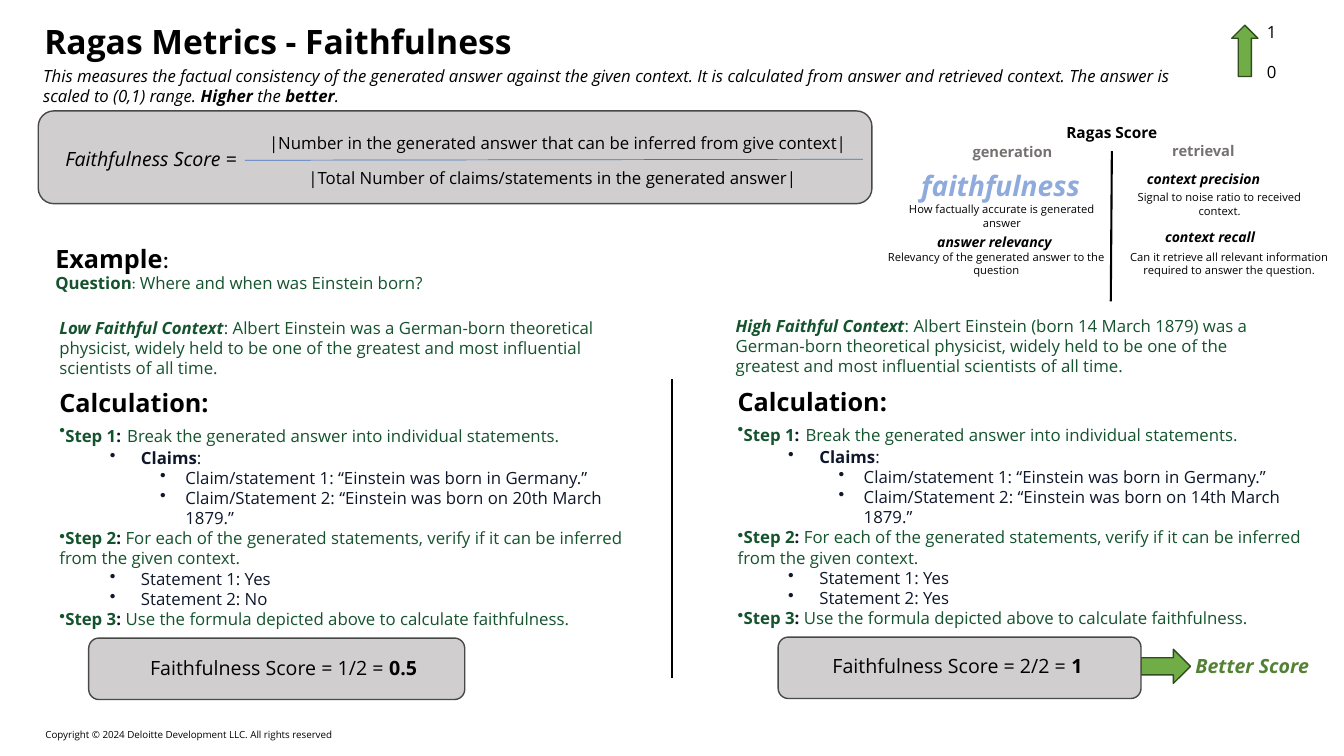
from dataclasses import dataclass
from typing import NamedTuple, Optional

from lxml import etree
from pptx import Presentation
from pptx.dml.color import RGBColor
from pptx.enum.shapes import MSO_CONNECTOR, MSO_SHAPE
from pptx.enum.text import MSO_AUTO_SIZE, PP_ALIGN
from pptx.oxml.ns import qn
from pptx.util import Inches, Pt

STRAIGHT = MSO_CONNECTOR.STRAIGHT
ROUND = MSO_SHAPE.ROUNDED_RECTANGLE
RIGHT = MSO_SHAPE.RIGHT_ARROW
UP = MSO_SHAPE.UP_ARROW
LEFT, MID = PP_ALIGN.LEFT, PP_ALIGN.CENTER
GROW, FIXED = MSO_AUTO_SIZE.SHAPE_TO_FIT_TEXT, MSO_AUTO_SIZE.NONE

WIDE, HIGH = Inches(13.33), Inches(7.5)
HUES = {
    "black": "000000", "ink": "0F172A", "pine": "14532D", "gray": "767171",
    "sky": "8FAADC", "blue": "4472C4", "panel": "D0CECE", "edge": "484848",
    "leaf": "70AD47", "stem": "314C1F", "moss": "548235",
}
# Left margin and first-line indent of each bullet level, in inches
DENTS = [(0, 0), (0.81, -0.31), (1.25, -0.25)]


class Box(NamedTuple):
    """Left, top, width and height in percent of the slide."""
    x: float
    y: float
    w: float
    h: float


@dataclass
class Run:
    text: str
    bold: Optional[bool] = None
    ital: Optional[bool] = None
    hue: Optional[str] = None
    size: Optional[float] = None
    font: str = "Open Sans"


@dataclass
class Para:
    runs: list
    level: Optional[int] = None


@dataclass
class Label:
    box: Box
    text: str
    size: float
    hue: str = "black"
    bold: bool = False
    ital: bool = False
    align: PP_ALIGN = LEFT
    wrap: bool = False


@dataclass
class Case:
    """One worked example: context, calculation steps and score."""
    name: str
    fact: str
    day: str
    found: str
    sum: str
    score: str
    about: Box
    steps: Box
    panel: Box
    total: Box


def rgb(hue: str) -> RGBColor:
    return RGBColor.from_string(HUES[hue])


def across(part: float) -> int:
    return round(WIDE * part / 100)


def down(part: float) -> int:
    return round(HIGH * part / 100)


def place(box: Box) -> tuple:
    return across(box.x), down(box.y), across(box.w), down(box.h)


def dot(para, level: int) -> None:
    left, first = DENTS[level]
    props = para._p.get_or_add_pPr()
    props.set("marL", str(Inches(left)))
    props.set("indent", str(Inches(first)))
    etree.SubElement(props, qn("a:buChar")).set("char", "•")


def write(slide, box: Box, paras: list, *, size: float = 12, hue: str = "black",
          bold: bool = False, ital: bool = False, align: PP_ALIGN = LEFT,
          wrap: bool = True, pad: bool = True, fit: MSO_AUTO_SIZE = GROW) -> None:
    frame = slide.shapes.add_textbox(*place(box)).text_frame
    frame.word_wrap, frame.auto_size = wrap, fit
    if not pad:
        frame.margin_left = frame.margin_right = 0
        frame.margin_top = frame.margin_bottom = 0
    for i, item in enumerate(paras):
        para = frame.add_paragraph() if i else frame.paragraphs[0]
        para.alignment = align
        if item.level is not None:
            para.level = item.level
            dot(para, item.level)
        for run in item.runs:
            piece = para.add_run()
            piece.text = run.text
            font = piece.font
            font.name, font.size = run.font, Pt(run.size or size)
            font.bold = bold if run.bold is None else run.bold
            font.italic = ital if run.ital is None else run.ital
            font.color.rgb = rgb(run.hue or hue)


def tag(slide, item: Label) -> None:
    write(slide, item.box, [Para([Run(item.text)])], size=item.size, hue=item.hue,
          bold=item.bold, ital=item.ital, align=item.align, wrap=item.wrap)


def block(slide, kind: MSO_SHAPE, box: Box, fill: str, edge: str) -> None:
    shape = slide.shapes.add_shape(kind, *place(box))
    shape.shadow.inherit = False
    shape.fill.solid()
    shape.fill.fore_color.rgb = rgb(fill)
    shape.line.color.rgb = rgb(edge)
    shape.line.width = Pt(1)


def rule(slide, x: float, y: float, end: float, foot: float,
         hue: str = "black", width: float = 1.5) -> None:
    line = slide.shapes.add_connector(
        STRAIGHT, across(x), down(y), across(end), down(foot))
    line.line.color.rgb = rgb(hue)
    line.line.width = Pt(width)
    etree.SubElement(line._element.spPr, qn("a:effectLst"))


def step(count: int, text: str) -> Para:
    head = Run(f"Step {count}", bold=True, hue="pine")
    if count == 1:
        mark = [Run(":", bold=True), Run(" ", size=18, font="Karla")]
    else:
        mark = [Run(": ", bold=True)]
    return Para([head, *mark, Run(text, hue="pine")], 0)


def solve(slide, case: Case) -> None:
    write(slide, case.about, [Para([
        Run(f"{case.name} Faithful Context", bold=True, ital=True),
        Run(f": Albert Einstein {case.fact}was a German-born theoretical physicist, "
            "widely held to be one of the greatest and most influential "
            "scientists of all time.")])], hue="pine")
    write(slide, case.steps, [
        Para([Run("Calculation:", bold=True, size=18, hue="black")]),
        step(1, "Break the generated answer into individual statements."),
        Para([Run("Claims", bold=True), Run(":")], 1),
        Para([Run("Claim/statement 1: “Einstein was born in Germany.”")], 2),
        Para([Run(f"Claim/Statement 2: “Einstein was born on {case.day} "
                  "March 1879.”")], 2),
        step(2, "For each of the generated statements, verify if it can be "
                "inferred from the given context."),
        Para([Run("Statement 1: Yes")], 1),
        Para([Run(f"Statement 2: {case.found}")], 1),
        step(3, "Use the formula depicted above to calculate faithfulness."),
    ], hue="ink")
    block(slide, ROUND, case.panel, "panel", "edge")
    write(slide, case.total, [Para([
        Run(f"Faithfulness Score = {case.sum} = "), Run(case.score, bold=True)])],
        size=14, wrap=False)


HEAD = {"size": 10.5, "hue": "gray", "bold": True}
TERM = {"size": 10, "bold": True, "ital": True}
NOTE = {"size": 8, "align": MID, "wrap": True}
LABELS = [
    # Score map
    Label(Box(78.6, 15.6, 17.55, 3.87), "Ragas Score", 11, bold=True, wrap=True),
    Label(Box(71.63, 18.27, 7.58, 3.73), "generation", **HEAD),
    Label(Box(86.48, 18.13, 6.3, 3.73), "retrieval", **HEAD),
    Label(Box(67.8, 21.6, 13.5, 5.87), "faithfulness", 20, "sky", True, True),
    Label(Box(69, 30.27, 10.2, 3.6), "answer relevancy", **TERM),
    Label(Box(84.6, 21.87, 10.13, 3.6), "context precision", **TERM),
    Label(Box(85.95, 29.6, 8.4, 3.6), "context recall", **TERM),
    Label(Box(66.75, 26.13, 15.6, 2.93),
          "How factually accurate is generated answer", **NOTE),
    Label(Box(65.25, 32.4, 17.78, 2.93),
          "Relevancy of the generated answer to the question", **NOTE),
    Label(Box(83.85, 24.53, 13.8, 4.93),
          "Signal to noise ratio to received context.", **NOTE),
    Label(Box(82.28, 32.4, 18.38, 2.93),
          "Can it retrieve all relevant information required to answer the question.",
          **NOTE),
    # Formula
    Label(Box(19.28, 16.93, 45, 4),
          "|Number in the generated answer that can be inferred from give context|", 12),
    Label(Box(22.2, 21.47, 38.48, 4),
          "|Total Number of claims/statements in the generated answer|", 12),
    # Verdict and scale
    Label(Box(88.2, 85.87, 10.05, 4.53), "Better Score", 14, "moss", True, True),
    Label(Box(93.53, 7.47, 3, 4), "0", 12, wrap=True),
    Label(Box(93.53, 2.27, 1.95, 4), "1", 12, wrap=True),
]
CASES = [
    Case("Low", "", "20th", "No", "1/2", "0.5",
         Box(3.68, 41.33, 42.98, 13.47), Box(3.68, 50.53, 45.75, 41.73),
         Box(6.6, 84.4, 27.98, 8.13), Box(10.43, 86.13, 21.53, 4.53)),
    Case("High", "(born 14 March 1879) ", "14th", "Yes", "2/2", "1",
         Box(54, 41.07, 40.65, 13.47), Box(54.15, 50.4, 43.95, 41.73),
         Box(57.9, 84.27, 27, 8.13), Box(61.2, 85.87, 20.25, 4.53)),
]


def main() -> None:
    deck = Presentation()
    deck.slide_width, deck.slide_height = WIDE, HIGH
    slide = deck.slides.add_slide(deck.slide_layouts[6])

    # Title, summary and footer
    write(slide, Box(3.38, 96.4, 34.95, 1.6), [Para([Run(
        "Copyright © 2024 Deloitte Development LLC. All rights reserved")])],
        size=7, pad=False)
    write(slide, Box(3.3, 2.8, 93.45, 5.33), [Para([Run(
        "Ragas Metrics - Faithfulness")])], size=24, bold=True, pad=False, fit=FIXED)
    write(slide, Box(2.48, 8, 87.53, 6.67), [Para([
        Run("This measures the factual consistency of the generated answer against "
            "the given context. It is calculated from answer and retrieved context. "
            "The answer is scaled to (0,1) range. "),
        Run("Higher", bold=True), Run(" the "), Run("better", bold=True), Run(".")])],
        ital=True)

    # Panels, rules and arrows
    block(slide, ROUND, Box(2.85, 14.67, 62.03, 12.27), "panel", "edge")
    rule(slide, 18.23, 21.2, 64.2, 21.07, "blue", 0.5)
    rule(slide, 82.73, 20, 82.65, 39.87)
    rule(slide, 50, 50.13, 50, 89.73)
    block(slide, UP, Box(91.65, 3.33, 1.95, 6.8), "leaf", "stem")
    block(slide, RIGHT, Box(84.9, 85.87, 3.68, 4.53), "leaf", "stem")

    # Formula name, question and labels
    write(slide, Box(4.13, 18.8, 14.78, 4.53), [Para([
        Run("Faithfulness Score ", ital=True), Run("=")])], size=14, wrap=False)
    write(slide, Box(3.38, 31.47, 44.85, 8.13), [
        Para([Run("Example", bold=True, size=18, hue="black"),
              Run(":", size=18, hue="black", font="Calibri")]),
        Para([Run("Question", bold=True), Run(": ", font="Karla"),
              Run("Where and when was Einstein born?")])], hue="pine")
    for item in LABELS:
        tag(slide, item)

    # Worked examples
    for case in CASES:
        solve(slide, case)
    deck.save("out.pptx")


if __name__ == "__main__":
    main()
